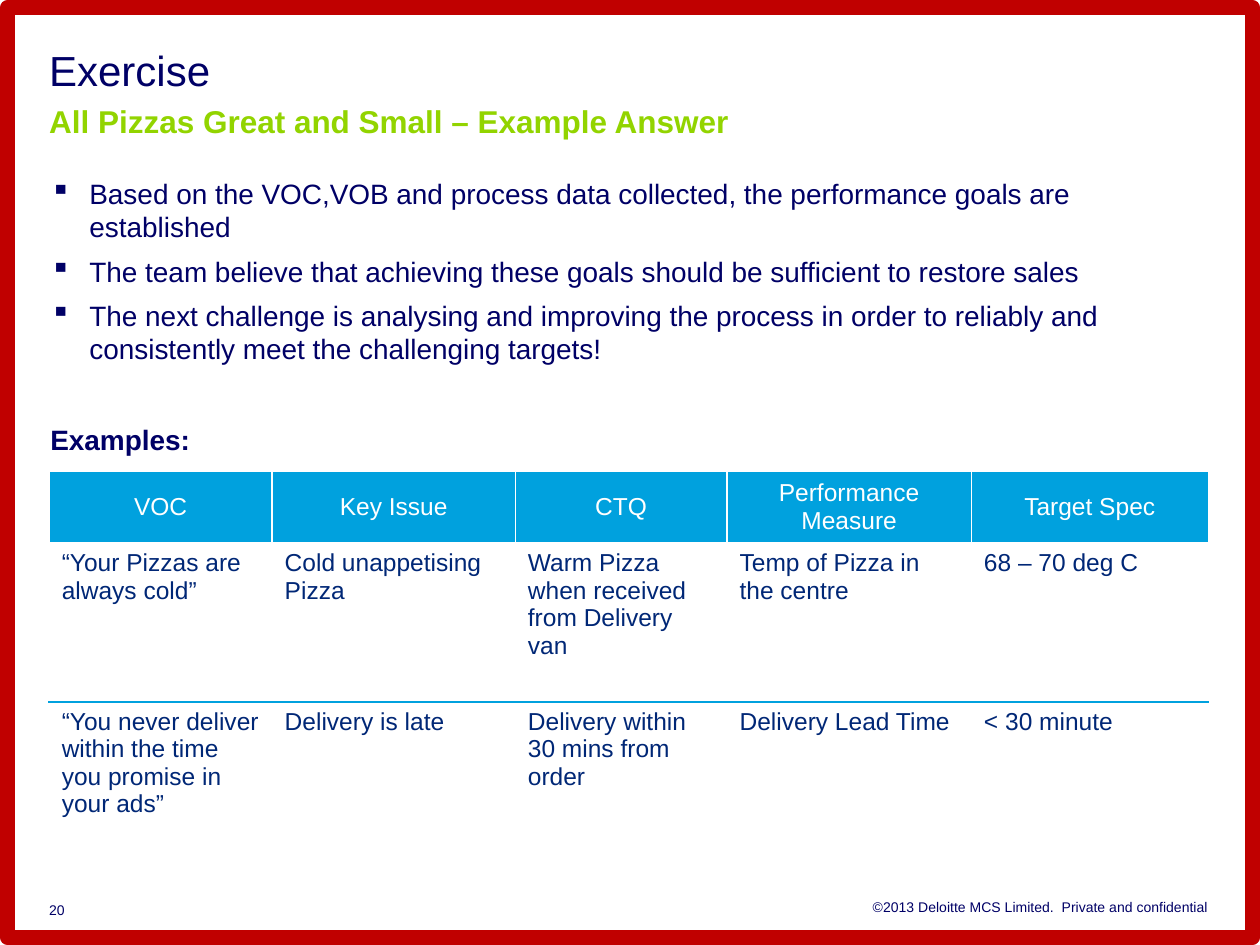
from lxml.etree import SubElement
from pptx import Presentation
from pptx.dml.color import RGBColor
from pptx.enum.shapes import MSO_SHAPE
from pptx.enum.text import MSO_ANCHOR, PP_ALIGN
from pptx.oxml import parse_xml
from pptx.oxml.ns import nsdecls, qn
from pptx.util import Inches, Pt

NAVY = RGBColor(0x00, 0x00, 0x66)
DEEP_BLUE = RGBColor(0x00, 0x27, 0x76)
SKY = RGBColor(0x00, 0xA1, 0xDE)
GREEN = RGBColor(0x92, 0xD4, 0x00)
RED = RGBColor(0xC0, 0x00, 0x00)
WHITE = RGBColor(0xFF, 0xFF, 0xFF)

TITLE = "Exercise "
SUBTITLE = "All Pizzas Great and Small – Example Answer"
GOALS = [
    "Based on the VOC,VOB and process data collected, the performance goals are established",
    "The team believe that achieving these goals should be sufficient to restore sales",
    "The next challenge is analysing and improving the process in order to reliably and "
    "consistently meet the challenging targets!",
]
EXAMPLES_HEADING = "Examples:"
EXAMPLES = [
    ["VOC", "Key Issue", "CTQ", "Performance Measure", "Target Spec"],
    ["“Your Pizzas are always cold”", "Cold unappetising Pizza",
     "Warm Pizza when received from Delivery van", "Temp of Pizza in the centre",
     "68 – 70 deg C"],
    ["“You never deliver within the time you promise in your ads”", "Delivery is late",
     "Delivery within 30 mins from order", "Delivery Lead Time", "< 30 minute"],
]
PAGE_NUMBER = "20"
COPYRIGHT = " ©2013 Deloitte MCS Limited.  Private and confidential"

SLIDE_W, SLIDE_H = 10, 7.5
MARGIN = 0.39
CONTENT_W = 9.21
TEXT_LEFT, TEXT_W = 0.4, 9.06
COLUMN_WIDTHS = [1.77, 1.93, 1.68, 1.94, 1.88]
ROW_HEIGHTS = [0.57, 1.26, 1.26]
FRAME_INSET = 0.06


def set_font(font, size, color, bold=False):
    font.name, font.size, font.bold = "Arial", Pt(size), bold
    font.color.rgb = color


def add_text(slide, box, paragraphs, size, bold=False, align=PP_ALIGN.LEFT,
             anchor=MSO_ANCHOR.TOP):
    """Add a margin-free text box and return its text frame."""
    frame = slide.shapes.add_textbox(*map(Inches, box)).text_frame
    frame.word_wrap = True
    frame.vertical_anchor = anchor
    frame.margin_left = frame.margin_right = frame.margin_top = frame.margin_bottom = 0
    frame.text = "\n".join(paragraphs)
    for paragraph in frame.paragraphs:
        paragraph.alignment = align
        set_font(paragraph.font, size, NAVY, bold)
    return frame


def add_title(slide):
    frame = add_text(slide, (MARGIN, MARGIN, CONTENT_W, 0.69), [], 24)
    paragraph = frame.paragraphs[0]
    paragraph.line_spacing = Pt(26)
    heading = paragraph.add_run()
    heading.text = TITLE
    set_font(heading.font, 24, NAVY)
    paragraph.add_line_break()
    subheading = paragraph.add_run()
    subheading.text = SUBTITLE
    set_font(subheading.font, 18, GREEN, bold=True)


def add_goals(slide):
    frame = add_text(slide, (TEXT_LEFT, 1.4, TEXT_W, 1.65), GOALS, 16)
    for index, paragraph in enumerate(frame.paragraphs):
        properties = paragraph.font._element.getparent()
        properties.set("marL", str(Inches(0.31)))
        properties.set("indent", str(Inches(-0.31)))
        bullet = parse_xml(f'<a:buChar {nsdecls("a")} char="▪"/>')
        paragraph.font._element.addprevious(bullet)
        if index:
            paragraph.space_before = Pt(6)


def set_borders(cell, top, bottom):
    """Draw 1 pt borders: white at the sides, the given colours above and below."""
    properties = cell._tc.get_or_add_tcPr()
    sides = {"lnL": WHITE, "lnR": WHITE, "lnT": top, "lnB": bottom}
    for position, (side, color) in enumerate(sides.items()):
        line = parse_xml(f'<a:{side} {nsdecls("a")} w="{Pt(1)}"><a:solidFill>'
                         f'<a:srgbClr val="{color}"/></a:solidFill></a:{side}>')
        properties.insert(position, line)


def add_examples(slide):
    table = slide.shapes.add_table(
        len(EXAMPLES), len(COLUMN_WIDTHS), Inches(MARGIN), Inches(3.74),
        Inches(sum(COLUMN_WIDTHS)), Inches(sum(ROW_HEIGHTS))).table
    table.horz_banding = False
    for column, width in zip(table.columns, COLUMN_WIDTHS):
        column.width = Inches(width)
    for row, height in zip(table.rows, ROW_HEIGHTS):
        row.height = Inches(height)
    rules = [WHITE, WHITE, SKY, WHITE]
    for r, texts in enumerate(EXAMPLES):
        for c, text in enumerate(texts):
            cell = table.cell(r, c)
            cell.text = text
            paragraph = cell.text_frame.paragraphs[0]
            if r == 0:
                cell.fill.solid()
                cell.fill.fore_color.rgb = SKY
                cell.vertical_anchor = MSO_ANCHOR.MIDDLE
                paragraph.alignment = PP_ALIGN.CENTER
            else:
                cell.fill.background()
            set_font(paragraph.font, 14, DEEP_BLUE if r else WHITE)
            set_borders(cell, rules[r], rules[r + 1])


def add_frame(slide):
    frame = slide.shapes.add_shape(
        MSO_SHAPE.RECTANGLE, Inches(FRAME_INSET), Inches(FRAME_INSET),
        Inches(SLIDE_W - 2 * FRAME_INSET), Inches(SLIDE_H - 2 * FRAME_INSET))
    frame.shadow.inherit = False
    frame.fill.background()
    frame.line.color.rgb = RED
    frame.line.width = Pt(8.5)
    SubElement(frame.line._ln, qn("a:round"))


def main():
    presentation = Presentation()
    presentation.slide_width, presentation.slide_height = Inches(SLIDE_W), Inches(SLIDE_H)
    slide = presentation.slides.add_slide(presentation.slide_layouts[6])
    add_text(slide, (3.4, 7.13, 6.19, 0.13), [COPYRIGHT], 8, align=PP_ALIGN.RIGHT)
    add_title(slide)
    add_text(slide, (MARGIN, 7.16, MARGIN, 0.13), [PAGE_NUMBER], 8, anchor=MSO_ANCHOR.BOTTOM)
    add_examples(slide)
    add_goals(slide)
    add_frame(slide)
    add_text(slide, (TEXT_LEFT, 3.35, TEXT_W, 0.41), [EXAMPLES_HEADING], 16, bold=True)
    presentation.save("out.pptx")


if __name__ == "__main__":
    main()
